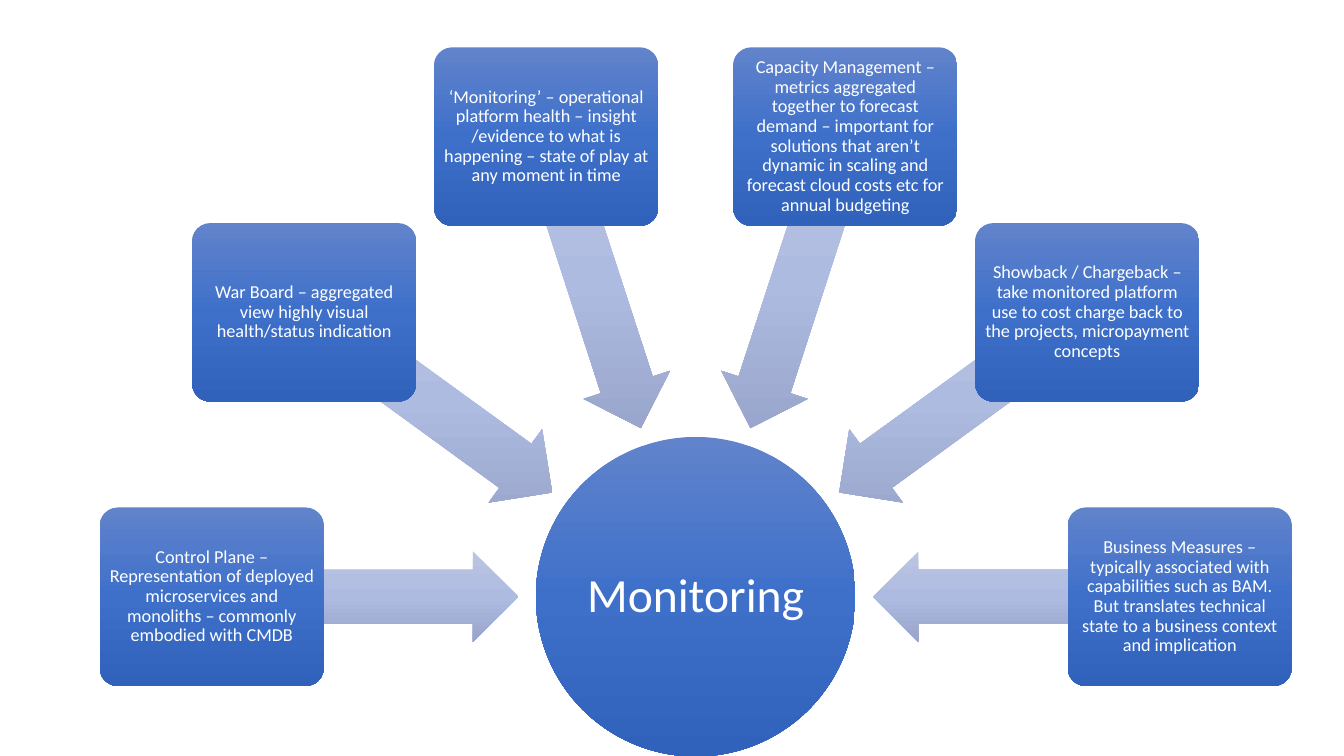
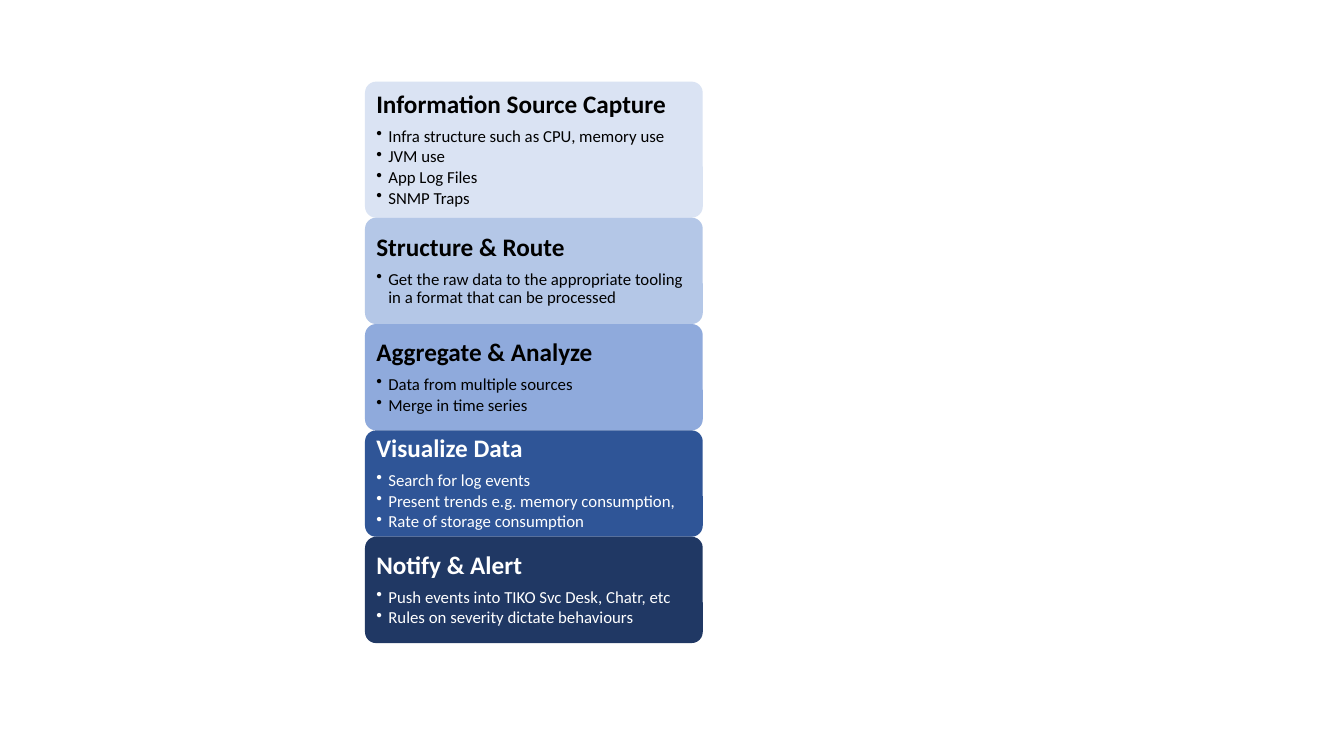
from math import cos, radians, sin

from lxml.etree import SubElement
from pptx import Presentation
from pptx.dml.color import RGBColor
from pptx.enum.shapes import MSO_SHAPE as Shape
from pptx.enum.text import MSO_ANCHOR as Anchor, PP_ALIGN as Align
from pptx.oxml.ns import qn
from pptx.util import Inches, Pt

FONT = "Calibri"
LINE_SPACING = 0.9
COLORS = {
    "white": "FFFFFF", "black": "000000",
    "capture": "DAE3F3", "route": "B4C7E7", "analyze": "8FAADC",
    "visualize": "2F5597", "notify": "203864",
}
GRADIENTS = {
    "node": ("6183CB", "3E70CA", "3062BB"),
    "arrow": ("BBC5E3", "AEBBE0", "98A4CB"),
}

# Radial diagram: everything sits on rings around the hub centre
HUB_X, HUB_Y, HUB_SIZE = 6.9, 5.92, 3.17
ARROW_RADIUS, ARROW_WIDTH, ARROW_HEIGHT = 3.28, 3.04, 0.9
NODE_RADIUS, NODE_WIDTH, NODE_HEIGHT = 4.8, 2.22, 1.77
NODES = [
    "Control Plane – Representation of deployed microservices and monoliths – "
    "commonly embodied with CMDB",
    "War Board – aggregated view highly visual health/status indication",
    "‘Monitoring’ – operational platform health – insight /evidence to what is "
    "happening – state of play at any moment in time",
    "Capacity Management – metrics aggregated together to forecast demand – "
    "important for solutions that aren’t dynamic in scaling and forecast cloud "
    "costs etc for annual budgeting",
    "Showback / Chargeback – take monitored platform use to cost charge back to "
    "the projects, micropayment concepts",
    "Business Measures – typically associated with capabilities such as BAM. But "
    "translates technical state to a business context and implication",
]

# Stack of bands: the first is taller, the rest share the remaining height
BAND_LEFT, BAND_WIDTH, BAND_RADIUS = 3.62, 3.35, 0.11
STACK_TOP, SECOND_TOP, STACK_BOTTOM = 0.81, 2.16, 6.38
BANDS = [
    ("capture", "black", "Information Source Capture",
     ["Infra structure such as CPU, memory use", "JVM use", "App Log Files",
      "SNMP Traps"]),
    ("route", "black", "Structure & Route",
     ["Get the raw data to the appropriate tooling in a format that can be "
      "processed"]),
    ("analyze", "black", "Aggregate & Analyze",
     ["Data from multiple sources", "Merge in time series"]),
    ("visualize", "white", "Visualize Data",
     ["Search for log events", "Present trends e.g. memory consumption,",
      "Rate of storage consumption"]),
    ("notify", "white", "Notify & Alert",
     ["Push events into TIKO Svc Desk, Chatr, etc",
      "Rules on severity dictate behaviours"]),
]


def add_plain_shape(slide, kind, left, top, width, height, adjustments=()):
    shape = slide.shapes.add_shape(
        kind, Inches(left), Inches(top), Inches(width), Inches(height))
    shape.shadow.inherit = False
    shape.line.fill.background()
    for index, value in enumerate(adjustments):
        shape.adjustments[index] = value
    return shape


def add_gradient_shape(slide, kind, center_x, center_y, width, height,
                       gradient, adjustments=()):
    shape = add_plain_shape(slide, kind, center_x - width / 2,
                            center_y - height / 2, width, height, adjustments)
    shape.fill.gradient()
    shape.fill.gradient_angle = 270
    # Three even stops that stay vertical when the shape is rotated
    gradient_fill = shape.element.spPr.find(qn("a:gradFill"))
    gradient_fill.set("rotWithShape", "0")
    stops = gradient_fill.find(qn("a:gsLst"))
    for stop in list(stops):
        stops.remove(stop)
    for index, color in enumerate(GRADIENTS[gradient]):
        stop = SubElement(stops, qn("a:gs"), pos=str(index * 50000))
        SubElement(stop, qn("a:srgbClr"), val=color)
    return shape


def prepare_text_frame(shape, inset):
    text_frame = shape.text_frame
    text_frame.word_wrap = True
    text_frame.vertical_anchor = Anchor.MIDDLE
    text_frame.margin_left = text_frame.margin_right = Inches(inset)
    text_frame.margin_top = text_frame.margin_bottom = Inches(inset)
    return text_frame


def format_paragraph(paragraph, size, color, align, space_after=0, bold=False):
    paragraph.alignment = align
    paragraph.line_spacing = LINE_SPACING
    paragraph.space_after = Pt(space_after)
    for run in paragraph.runs:
        run.font.name = FONT
        run.font.size = Pt(size)
        run.font.bold = bold
        run.font.color.rgb = RGBColor.from_string(COLORS[color])


def add_bullet(paragraph):
    properties = paragraph._p.get_or_add_pPr()
    properties.set("marL", str(Inches(0.12)))
    properties.set("indent", str(-Inches(0.12)))
    SubElement(properties, qn("a:buChar"), char="•")


def set_centered_text(shape, text, size, inset):
    text_frame = prepare_text_frame(shape, inset)
    text_frame.text = text
    format_paragraph(text_frame.paragraphs[0], size, "white", Align.CENTER)


def ring_point(radius, angle):
    return (HUB_X - radius * cos(radians(angle)),
            HUB_Y - radius * sin(radians(angle)))


def add_spoke(slide, angle, text):
    arrow = add_gradient_shape(
        slide, Shape.LEFT_ARROW, *ring_point(ARROW_RADIUS, angle),
        ARROW_WIDTH, ARROW_HEIGHT, "arrow", (0.6, 0.5))
    arrow.rotation = (180 + angle) % 360
    node = add_gradient_shape(
        slide, Shape.ROUNDED_RECTANGLE, *ring_point(NODE_RADIUS, angle),
        NODE_WIDTH, NODE_HEIGHT, "node", (0.1,))
    set_centered_text(node, text, 13, 0.03)


def add_band(slide, top, height, fill, text_color, title, bullets):
    band = add_plain_shape(slide, Shape.ROUNDED_RECTANGLE, BAND_LEFT, top,
                           BAND_WIDTH, height, (BAND_RADIUS / height,))
    band.fill.solid()
    band.fill.fore_color.rgb = RGBColor.from_string(COLORS[fill])
    text_frame = prepare_text_frame(band, 0.08)
    text_frame.text = title
    format_paragraph(text_frame.paragraphs[0], 18, text_color, Align.LEFT,
                     6.3, bold=True)
    for bullet in bullets:
        paragraph = text_frame.add_paragraph()
        paragraph.text = bullet
        paragraph.level = 1
        format_paragraph(paragraph, 12, text_color, Align.LEFT, 1.8)
        add_bullet(paragraph)


def build_monitoring_slide(slide):
    hub = add_gradient_shape(slide, Shape.OVAL, HUB_X, HUB_Y,
                             HUB_SIZE, HUB_SIZE, "node")
    set_centered_text(hub, "Monitoring", 34, 0.02)
    step = 180 / (len(NODES) - 1)
    for index, text in enumerate(NODES):
        add_spoke(slide, index * step, text)


def build_pipeline_slide(slide):
    height = (STACK_BOTTOM - SECOND_TOP) / (len(BANDS) - 1)
    add_band(slide, STACK_TOP, SECOND_TOP - STACK_TOP, *BANDS[0])
    for index, band in enumerate(BANDS[1:]):
        add_band(slide, SECOND_TOP + index * height, height, *band)


def main():
    presentation = Presentation()
    presentation.slide_width = Inches(13.33)
    presentation.slide_height = Inches(7.5)
    blank = presentation.slide_layouts[6]
    for build in (build_monitoring_slide, build_pipeline_slide):
        build(presentation.slides.add_slide(blank))
    presentation.save("out.pptx")


main()
